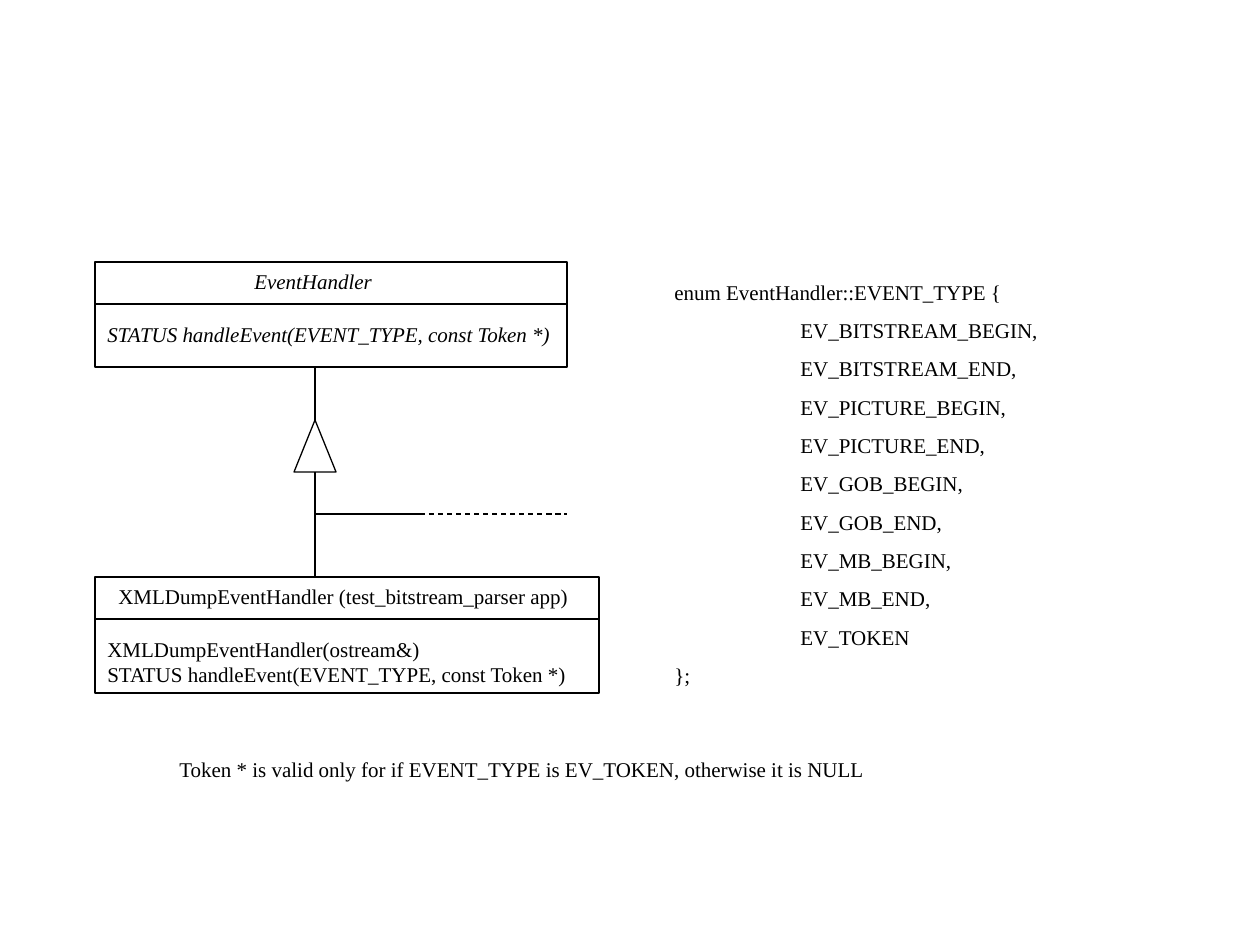
from dataclasses import dataclass

from pptx import Presentation
from pptx.dml.color import RGBColor
from pptx.enum.dml import MSO_LINE
from pptx.enum.shapes import MSO_CONNECTOR, MSO_SHAPE
from pptx.enum.text import MSO_AUTO_SIZE
from pptx.oxml.ns import qn
from pptx.slide import Slide
from pptx.util import Inches, Pt
from lxml.etree import SubElement

SCALE = Inches(1) / 126


@dataclass(frozen=True)
class Theme:
    ink: RGBColor = RGBColor(0, 0, 0)
    font: str = "Times New Roman"
    size: float = 12
    pen: float = 0.75
    gap: float = 7.5


@dataclass(frozen=True)
class Label:
    text: str
    left: int
    top: int
    width: int
    height: int


@dataclass(frozen=True)
class ClassBox:
    top: int
    width: int
    height: int
    name: Label
    body: Label
    italic: bool = False


THEME = Theme()
LEFT = 95
AXIS = 315
HEAD = 42

BOXES = [
    ClassBox(262, 472, 105,
             Label("EventHandler", 242, 262, 150, 38),
             Label("STATUS handleEvent(EVENT_TYPE, const Token *)",
                   LEFT, 315, 473, 38), italic=True),
    ClassBox(577, 504, 116,
             Label("XMLDumpEventHandler (test_bitstream_parser app)",
                   106, 577, 480, 38),
             Label("XMLDumpEventHandler(ostream&)\n"
                   "STATUS handleEvent(EVENT_TYPE, const Token *)",
                   LEFT, 630, 490, 63)),
]
EVENTS = [f"EV_{part}_{edge}"
          for part in ("BITSTREAM", "PICTURE", "GOB", "MB")
          for edge in ("BEGIN", "END")] + ["EV_TOKEN"]
ENUM = Label("enum EventHandler::EVENT_TYPE {\n\t" + ",\n\t".join(EVENTS) + "\n};",
             662, 273, 525, 422)
NOTE = Label("Token * is valid only for if EVENT_TYPE is EV_TOKEN, otherwise it is NULL",
             167, 750, 716, 38)


def px(*values: int) -> list[int]:
    return [round(value * SCALE) for value in values]


def add_text(slide: Slide, label: Label, *, italic: bool = False,
             wrap: bool = False, gap: float = 0) -> None:
    """Add one paragraph per line; a leading tab becomes a left indent."""
    box = slide.shapes.add_textbox(
        *px(label.left, label.top, label.width, label.height))
    frame = box.text_frame
    frame.word_wrap = wrap
    frame.auto_size = MSO_AUTO_SIZE.SHAPE_TO_FIT_TEXT
    for i, line in enumerate(label.text.split("\n")):
        para = frame.paragraphs[0] if i == 0 else frame.add_paragraph()
        para.space_before = Pt(gap)
        if line.startswith("\t"):
            para._p.get_or_add_pPr().set("marL", str(Inches(1)))
        run = para.add_run()
        run.text = line.strip()
        font = run.font
        font.name, font.size, font.italic = THEME.font, Pt(THEME.size), italic
        font.color.rgb = THEME.ink


def add_line(slide: Slide, x1: int, y1: int, x2: int, y2: int,
             dashed: bool = False) -> None:
    line = slide.shapes.add_connector(MSO_CONNECTOR.STRAIGHT, *px(x1, y1, x2, y2))
    line.line.color.rgb = THEME.ink
    line.line.width = Pt(THEME.pen)
    if dashed:
        line.line.dash_style = MSO_LINE.DASH
    SubElement(line._element.spPr, qn("a:effectLst"))


def add_shape(slide: Slide, kind: MSO_SHAPE, left: int, top: int,
              width: int, height: int) -> None:
    shape = slide.shapes.add_shape(kind, *px(left, top, width, height))
    shape.shadow.inherit = False
    shape.fill.background()
    shape.line.color.rgb = THEME.ink
    shape.line.width = Pt(THEME.pen)


def add_class(slide: Slide, box: ClassBox) -> None:
    add_shape(slide, MSO_SHAPE.RECTANGLE, LEFT, box.top, box.width, box.height)
    add_text(slide, box.name, italic=box.italic)
    rule = box.top + HEAD
    add_line(slide, LEFT, rule, LEFT + box.width, rule)
    add_text(slide, box.body, italic=box.italic)


def add_links(slide: Slide) -> None:
    """Draw the inheritance arrow and the branch to further subclasses."""
    add_shape(slide, MSO_SHAPE.ISOSCELES_TRIANGLE, AXIS - 21, 420, 42, 52)
    for start, end in ((420, 367), (472, 504), (504, 577)):
        add_line(slide, AXIS, start, AXIS, end)
    add_line(slide, AXIS, 514, 420, 514)
    add_line(slide, 420, 514, 567, 514, dashed=True)


def main() -> None:
    deck = Presentation()
    deck.slide_width, deck.slide_height = Inches(10), Inches(7.5)
    slide = deck.slides.add_slide(deck.slide_layouts[6])
    for box in BOXES:
        add_class(slide, box)
    add_links(slide)
    add_text(slide, ENUM, wrap=True, gap=THEME.gap)
    add_text(slide, NOTE)
    deck.save("out.pptx")


if __name__ == "__main__":
    main()
